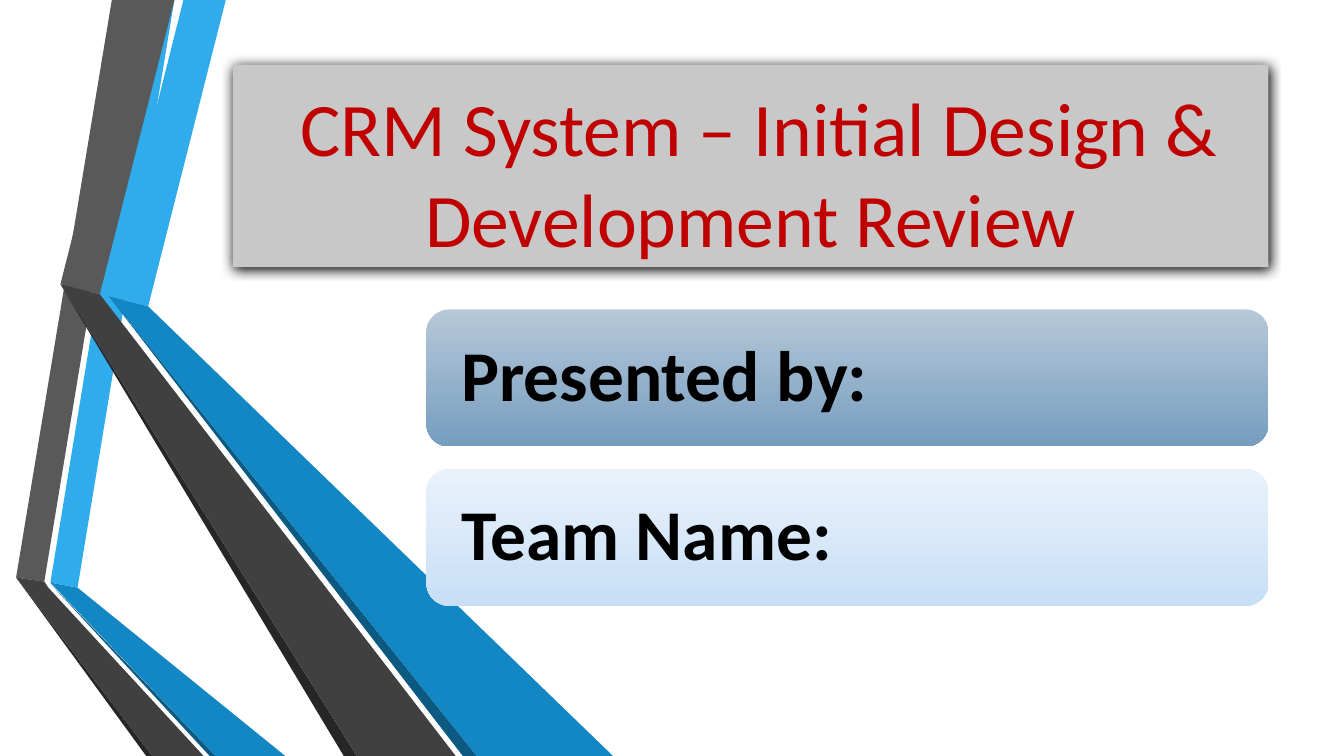
from dataclasses import dataclass

from lxml.etree import SubElement
from pptx import Presentation
from pptx.dml.color import RGBColor
from pptx.enum.shapes import MSO_SHAPE as Preset
from pptx.enum.text import MSO_ANCHOR as Anchor, PP_ALIGN as Align
from pptx.oxml.ns import qn
from pptx.util import Pt

PX = 9144  # EMU per px, 100 px to the inch
SLIDE_SIZE = (1333, 750)


@dataclass(frozen=True)
class Theme:
    font: str = "Calibri"
    title_size: int = 54
    card_size: int = 51
    title_text: str = "C00000"
    title_fill: str = "C8C8C8"
    card_text: str = "000000"
    shadow: str = "000000"
    sky: str = "30ACEC"
    blue: str = "1287C3"
    navy: str = "0C5A82"
    grey: str = "595959"
    charcoal: str = "404040"
    black: str = "262626"


THEME = Theme()

# Content
TITLE = "\u00a0CRM System – Initial Design & Development Review".replace("\u00a0", " ")
TITLE_BOX = (231, 64, 1027, 201)

CARDS = [
    ("Presented by:", ("B6C8D9", "769DBF")),
    ("Team Name:", ("E9F2FB", "C8DFF6")),
]
CARD_LEFT, CARD_TOP, CARD_WIDTH, CARD_HEIGHT, CARD_PITCH = 423, 307, 835, 136, 158
CARD_INSET = 28

# Folded ribbons, back to front: colour and corner points
RIBBONS = [
    # Narrow pair
    (THEME.sky, [(50, 578), (77, 583), (173, 0), (145, 0)]),
    (THEME.grey, [(139, 0), (111, 0), (16, 573), (44, 577)]),
    (THEME.black, [(16, 573), (145, 750), (151, 750)]),
    (THEME.navy, [(50, 579), (208, 750), (214, 750)]),
    (THEME.blue, [(50, 578), (214, 750), (283, 750), (77, 583)]),
    (THEME.charcoal, [(16, 573), (151, 750), (202, 750), (48, 583), (44, 577)]),
    # Wide pair
    (THEME.sky, [(108, 294), (147, 304), (224, 0), (182, 0)]),
    (THEME.grey, [(99, 292), (173, 0), (131, 0), (60, 282)]),
    (THEME.black, [(60, 282), (341, 750), (354, 750)]),
    (THEME.navy, [(108, 294), (459, 750), (473, 750)]),
    (THEME.blue, [(108, 294), (473, 750), (608, 750), (147, 304)]),
    (THEME.charcoal, [(60, 282), (354, 750), (452, 750), (106, 301), (99, 292)]),
]


def rgb(value):
    return RGBColor.from_string(value)


def add_ribbon(slide, color, points):
    builder = slide.shapes.build_freeform(*points[0], scale=PX)
    builder.add_line_segments(points[1:], close=True)
    ribbon = builder.convert_to_shape()
    ribbon.shadow.inherit = False
    ribbon.fill.solid()
    ribbon.fill.fore_color.rgb = rgb(color)
    ribbon.line.fill.background()


def add_panel(slide, preset, box, text, size, color, align, anchor, bold=False):
    panel = slide.shapes.add_shape(preset, *(length * PX for length in box))
    panel.shadow.inherit = False
    panel.line.fill.background()
    frame = panel.text_frame
    frame.word_wrap = True
    frame.vertical_anchor = anchor
    paragraph = frame.paragraphs[0]
    paragraph.text = text
    paragraph.alignment = align
    font = paragraph.font
    font.name, font.size, font.bold = THEME.font, Pt(size), bold
    font.color.rgb = rgb(color)
    return panel


def add_drop_shadow(shape, color, blur, distance):
    effects = shape.element.spPr.find(qn("a:effectLst"))
    shadow = SubElement(effects, qn("a:outerShdw"), blurRad=str(Pt(blur)),
                        dist=str(Pt(distance)), dir="5400000", rotWithShape="0")
    SubElement(shadow, qn("a:srgbClr"), val=color)


def add_title(slide):
    title = add_panel(slide, Preset.RECTANGLE, TITLE_BOX, TITLE, THEME.title_size,
                      THEME.title_text, Align.CENTER, Anchor.BOTTOM)
    title.fill.solid()
    title.fill.fore_color.rgb = rgb(THEME.title_fill)
    add_drop_shadow(title, THEME.shadow, blur=8.5, distance=1)


def add_card(slide, index, text, gradient):
    box = (CARD_LEFT, CARD_TOP + index * CARD_PITCH, CARD_WIDTH, CARD_HEIGHT)
    card = add_panel(slide, Preset.ROUNDED_RECTANGLE, box, text, THEME.card_size,
                     THEME.card_text, Align.LEFT, Anchor.MIDDLE, bold=True)
    card.text_frame.margin_left = card.text_frame.margin_right = CARD_INSET * PX
    card.text_frame.paragraphs[0].line_spacing = 0.9
    card.fill.gradient()
    card.fill.gradient_angle = 270  # top to bottom
    for stop, color in zip(card.fill.gradient_stops, gradient):
        stop.color.rgb = rgb(color)


def main():
    presentation = Presentation()
    presentation.slide_width, presentation.slide_height = (side * PX for side in SLIDE_SIZE)
    slide = presentation.slides.add_slide(presentation.slide_layouts[6])

    for color, points in RIBBONS:
        add_ribbon(slide, color, points)
    add_title(slide)
    for index, (text, gradient) in enumerate(CARDS):
        add_card(slide, index, text, gradient)

    presentation.save("out.pptx")


if __name__ == "__main__":
    main()
